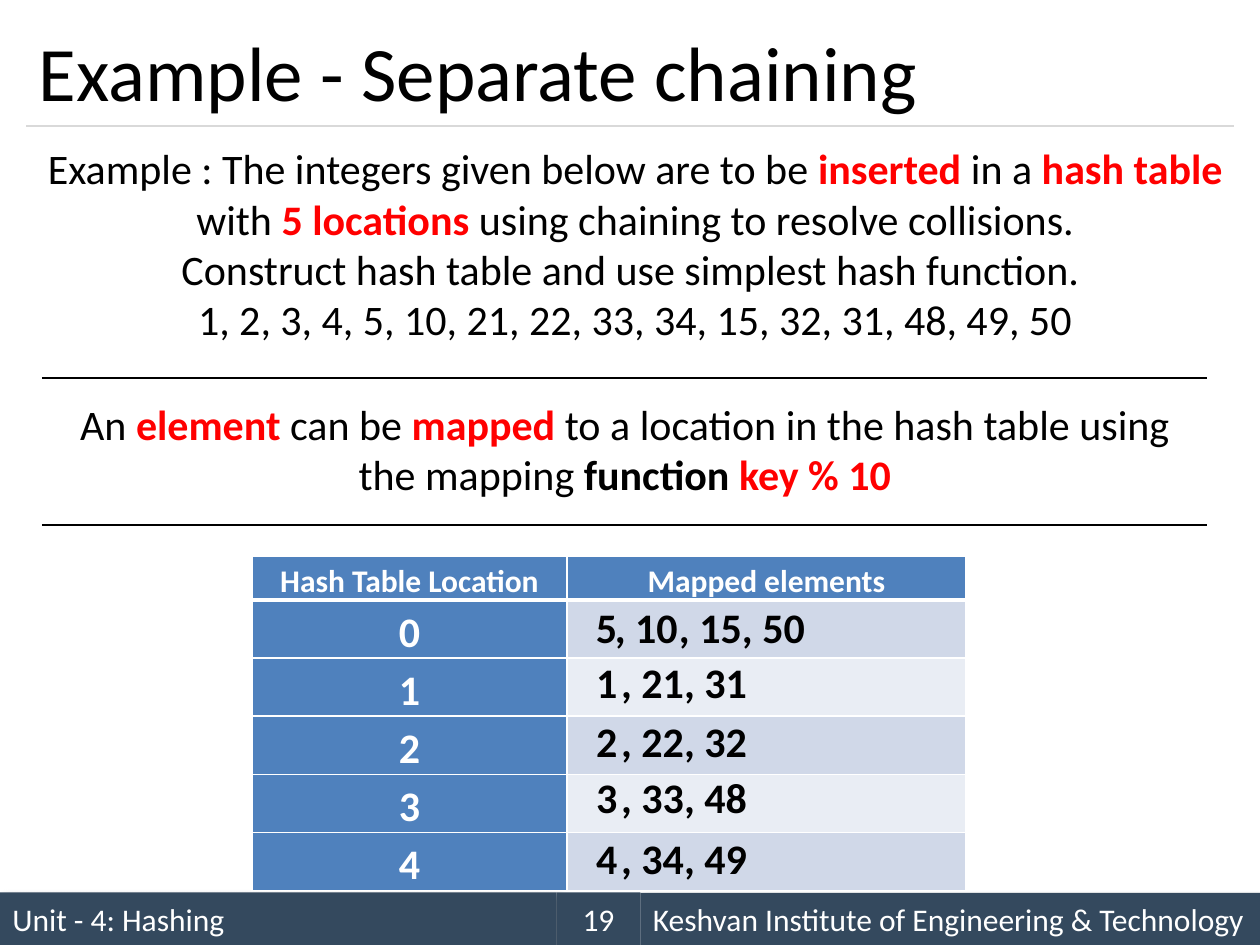
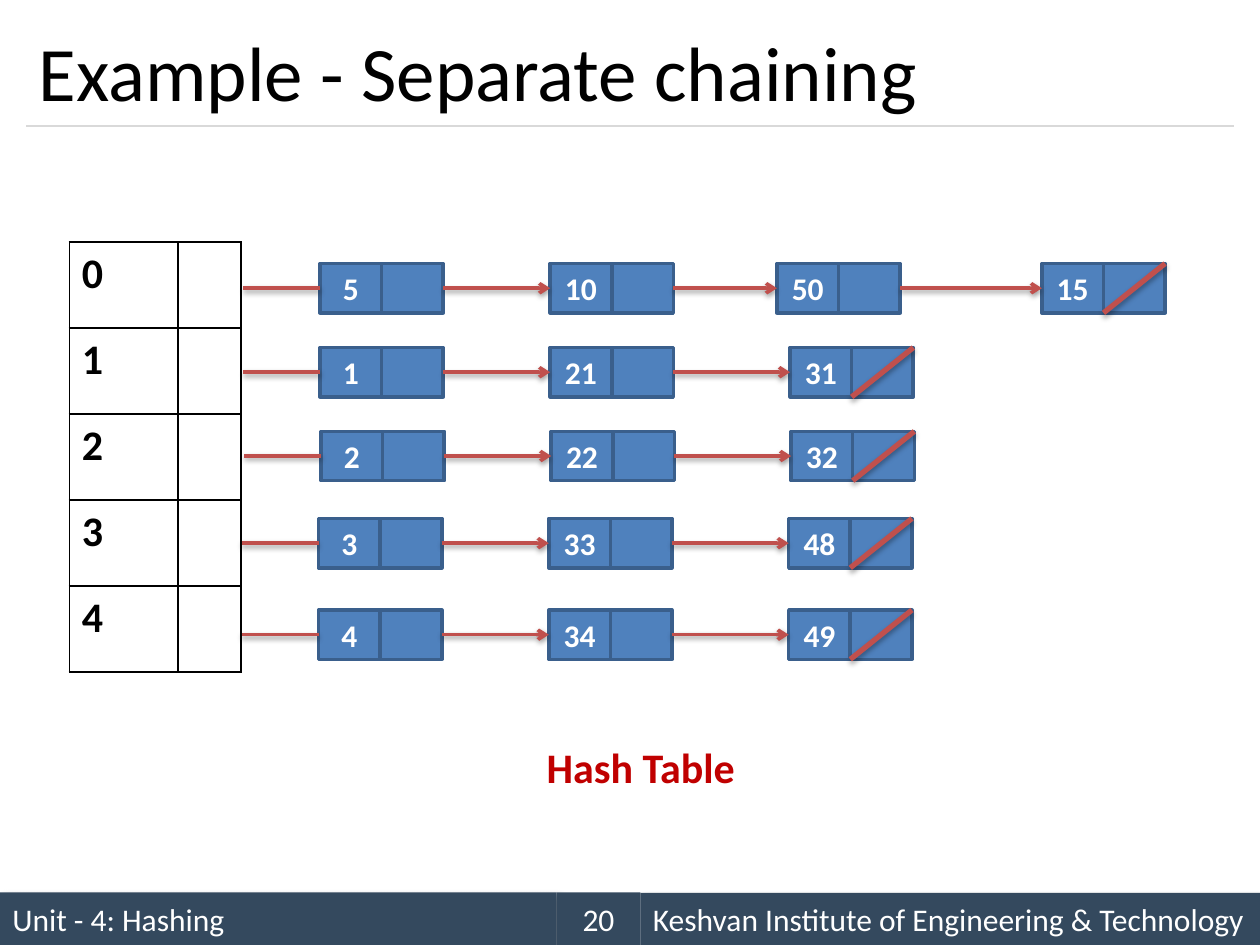
from itertools import pairwise

from pptx import Presentation
from pptx.dml.color import RGBColor
from pptx.enum.shapes import MSO_CONNECTOR as Connector, MSO_SHAPE as Preset
from pptx.enum.text import MSO_ANCHOR as Anchor, MSO_AUTO_SIZE as AutoSize, PP_ALIGN as Align
from pptx.oxml import parse_xml
from pptx.oxml.ns import nsdecls, qn
from pptx.util import Pt

FONT = "Calibri"
COLORS = {
    "black": "000000", "white": "FFFFFF", "red": "FF0000", "dark red": "C00000",
    "band": "34495E", "rule": "D9D9D9", "blue": "4F81BD", "node edge": "3A5F8C",
    "arrow": "C0504D", "odd row": "D0D8E8", "even row": "E9EDF4",
}

TITLE = "Example - Separate chaining"
UNIT = "Unit - 4: Hashing"
INSTITUTE = "Keshvan Institute of Engineering & Technology"

# A paragraph is a list of runs; a (text, colour) pair is a bold run.
PROBLEM = [
    ["Example : The integers given below are to be ", ("inserted", "red"), " in a ",
     ("hash table", "red"), " with ", ("5 locations ", "red"),
     "using chaining to resolve collisions."],
    ["Construct hash table and use simplest hash function. "],
    ["1, 2, 3, 4, 5, 10, 21, 22, 33, 34, 15, 32, 31, 48, 49, 50"],
]
MAPPING = [
    ["An ", ("element ", "red"), "can be ", ("mapped", "red"),
     " to a location in the hash table using the mapping ",
     ("function ", "black"), ("key % 10", "red")],
]
HEADINGS = ["Hash Table Location", "Mapped elements"]
# Values of each location, with the top and the lefts of their text boxes
MAPPED_LEFTS = [333.5, 347.8, 383.8]
MAPPED = [
    (["5", ", 10", ", 15", ", 50"], 340.4, [333.4, 344.2, 380.9, 416.9]),
    (["1", ", 21", ", 31"], 371.8, MAPPED_LEFTS),
    (["2", ", 22", ", 32"], 405.4, MAPPED_LEFTS),
    (["3", ", 33", ", 48"], 437.4, MAPPED_LEFTS),
    (["4", ", 34", ", 49"], 472.2, MAPPED_LEFTS),
]

# Keys of each chain, with the top, the sideways shift and the lefts of its nodes
NODE_LEFTS = [182.9, 314.4, 451.5]
CHAINS = [
    (["5", "10", "50", "15"], 150.6, 0, [182.9, 314.4, 444, 595.4]),
    (["1", "21", "31"], 198.6, 0, NODE_LEFTS),
    (["2", "22", "32"], 246.5, 0.6, NODE_LEFTS),
    (["3", "33", "48"], 296.3, -0.8, NODE_LEFTS),
    (["4", "34", "49"], 348.6, -0.8, NODE_LEFTS),
]
CHAIN_START = 139
CELL_WIDTH, NODE_HEIGHT = 35.2, 28.2


def color(name):
    return RGBColor.from_string(COLORS[name])


def write(frame, paragraphs, size=24, ink="black", bold=False, align=Align.LEFT, spacing=None):
    """Fill a text frame from a string or a list of run lists."""
    if isinstance(paragraphs, str):
        paragraphs = [[paragraphs]]
    for index, runs in enumerate(paragraphs):
        paragraph = frame.add_paragraph() if index else frame.paragraphs[0]
        paragraph.alignment = align
        if spacing:
            paragraph.line_spacing = spacing
        for item in runs:
            text, run_ink, run_bold = (item, ink, bold) if isinstance(item, str) else (*item, True)
            run = paragraph.add_run()
            run.text = text
            run.font.name = FONT
            run.font.size = Pt(size)
            run.font.bold = run_bold
            run.font.color.rgb = color(run_ink)


def add_text(slide, box, paragraphs, wrap=True, **text_format):
    frame = slide.shapes.add_textbox(*map(Pt, box)).text_frame
    frame.word_wrap = wrap
    frame.auto_size = AutoSize.SHAPE_TO_FIT_TEXT
    write(frame, paragraphs, **text_format)


def set_effects(shape, shadow=None):
    """Replace the theme effects by a shadow of (opacity %, blur, distance, angle), or none."""
    properties = shape.element.spPr
    for effects in properties.findall(qn("a:effectLst")):
        properties.remove(effects)
    inner = ""
    if shadow:
        opacity, blur, distance, angle = shadow
        inner = (f'<a:outerShdw blurRad="{Pt(blur)}" dist="{Pt(distance)}" dir="{angle * 60000}" '
                 f'rotWithShape="0"><a:srgbClr val="{COLORS["black"]}">'
                 f'<a:alpha val="{opacity * 1000}"/></a:srgbClr></a:outerShdw>')
    properties.append(parse_xml(f'<a:effectLst {nsdecls("a")}>{inner}</a:effectLst>'))


def add_box(shapes, box, fill, edge=None, text=None, shadow=None, **text_format):
    shape = shapes.add_shape(Preset.RECTANGLE, *map(Pt, box))
    shape.fill.solid()
    shape.fill.fore_color.rgb = color(fill)
    if edge:
        shape.line.color.rgb = color(edge)
        shape.line.width = Pt(2)
    else:
        shape.line.fill.background()
    set_effects(shape, shadow)
    if text:
        shape.text_frame.vertical_anchor = Anchor.MIDDLE
        write(shape.text_frame, text, size=18, ink="white", **text_format)


def add_line(slide, start, end, ink="black", width=0.75, arrow=False, shadow=None):
    line = slide.shapes.add_connector(Connector.STRAIGHT, *map(Pt, (*start, *end)))
    line.line.color.rgb = color(ink)
    line.line.width = Pt(width)
    if arrow:
        outline = line.element.spPr.find(qn("a:ln"))
        outline.append(parse_xml(f'<a:tailEnd {nsdecls("a")} type="arrow"/>'))
    set_effects(line, shadow)


def add_table(slide, left, top, column_widths, row_heights):
    """Add a table without banding and return it."""
    table = slide.shapes.add_table(
        len(row_heights), len(column_widths), Pt(left), Pt(top),
        Pt(sum(column_widths)), Pt(sum(row_heights))).table
    table.first_row = table.horz_banding = False
    for column, width in zip(table.columns, column_widths):
        column.width = Pt(width)
    for row, height in zip(table.rows, row_heights):
        row.height = Pt(height)
    return table


def style_cell(cell, ink, fill=None, **widths):
    """Draw 1 pt borders, unless widths names another for a side, then the fill."""
    properties = cell._tc.get_or_add_tcPr()
    for side in "LRTB":
        properties.append(parse_xml(
            f'<a:ln{side} {nsdecls("a")} w="{Pt(widths.get(side, 1))}"><a:solidFill>'
            f'<a:srgbClr val="{COLORS[ink]}"/></a:solidFill></a:ln{side}>'))
    if fill:
        cell.fill.solid()
        cell.fill.fore_color.rgb = color(fill)
    else:
        cell.fill.background()


def add_slide(presentation, number):
    """Add a slide with the title, its rule and the footer bands."""
    slide = presentation.slides.add_slide(presentation.slide_layouts[5])
    title = slide.shapes.title
    title.left, title.top, title.width, title.height = map(Pt, (15, 9, 690, 63))
    title.text_frame.vertical_anchor = Anchor.MIDDLE
    write(title.text_frame, TITLE, size=44)
    add_line(slide, (15, 72), (705, 72), ink="rule")
    band_shadow = (40, 4, 3, 45)
    add_box(slide.shapes, (0, 510, 318, 30), "band", text=UNIT, shadow=band_shadow)
    add_box(slide.shapes, (366, 510.3, 354, 30), "band", text=INSTITUTE, shadow=band_shadow)
    add_box(slide.shapes, (318, 510, 48, 30), "band", text=str(number), align=Align.CENTER)
    return slide


def add_mapping_table(slide):
    table = add_table(slide, 144, 318, [180, 228], [24.8] + [33.2] * len(MAPPED))
    labels = [HEADINGS] + [[str(location), ""] for location in range(len(MAPPED))]
    for row, texts in enumerate(labels):
        for column, text in enumerate(texts):
            cell = table.cell(row, column)
            if text:
                cell.margin_left = cell.margin_right = Pt(5)
                cell.margin_top = cell.margin_bottom = 0
                write(cell.text_frame, text, size=24 if row else 18, ink="white", bold=True,
                      align=Align.CENTER, spacing=1.15)
                fill = "blue"
            else:
                fill = "odd row" if row % 2 else "even row"
            borders = {"B": 3} if row == 0 else {"T": 3} if row == 1 else {}
            style_cell(cell, "white", fill, **borders)
    for values, top, lefts in MAPPED:
        for value, left in zip(values, lefts):
            width = 51 if value.startswith(",") else 26.5
            add_text(slide, (left, top, width, 36), value, wrap=False, bold=True)


def add_bucket_table(slide):
    table = add_table(slide, 39.6, 138.2, [62, 36], [49.2] * len(CHAINS))
    for location in range(len(CHAINS)):
        write(table.cell(location, 0).text_frame, str(location), bold=True)
        for column in range(2):
            style_cell(table.cell(location, column), "black")


def add_node(slide, left, top, key):
    node = slide.shapes.add_group_shape()
    for offset, text in ((0, key), (CELL_WIDTH, None)):
        add_box(node.shapes, (left + offset, top, CELL_WIDTH, NODE_HEIGHT), "blue",
                edge="node edge", text=text, bold=True, align=Align.CENTER)


def add_chain(slide, keys, top, shift, node_lefts):
    lefts = [left + shift for left in node_lefts]
    middle = top + NODE_HEIGHT / 2
    link = {"ink": "arrow", "width": 2, "shadow": (38, 3.1, 1.6, 90)}
    for left, key in zip(lefts, keys):
        add_node(slide, left, top, key)
    add_line(slide, (CHAIN_START + shift, middle), (lefts[0], middle), **link)
    for left, following in pairwise(lefts):
        add_line(slide, (left + 2 * CELL_WIDTH, middle), (following, middle), arrow=True, **link)
    null_left = lefts[-1] + CELL_WIDTH
    add_line(slide, (null_left + CELL_WIDTH, top), (null_left, top + NODE_HEIGHT),
             ink="arrow", width=3, shadow=(35, 3.1, 1.8, 90))


def main():
    presentation = Presentation()
    presentation.slide_width, presentation.slide_height = Pt(720), Pt(540)

    slide = add_slide(presentation, 19)
    add_text(slide, (18, 78, 690, 124), PROBLEM, align=Align.CENTER)
    add_text(slide, (24, 224, 666, 65.4), MAPPING, align=Align.CENTER)
    for height in (216, 300):
        add_line(slide, (24, height), (690, height))
    add_mapping_table(slide)

    slide = add_slide(presentation, 20)
    add_bucket_table(slide)
    for chain in CHAINS:
        add_chain(slide, *chain)
    add_text(slide, (193.7, 420, 345, 36), "Hash Table", ink="dark red", bold=True,
             align=Align.CENTER)

    presentation.save("out.pptx")


if __name__ == "__main__":
    main()
